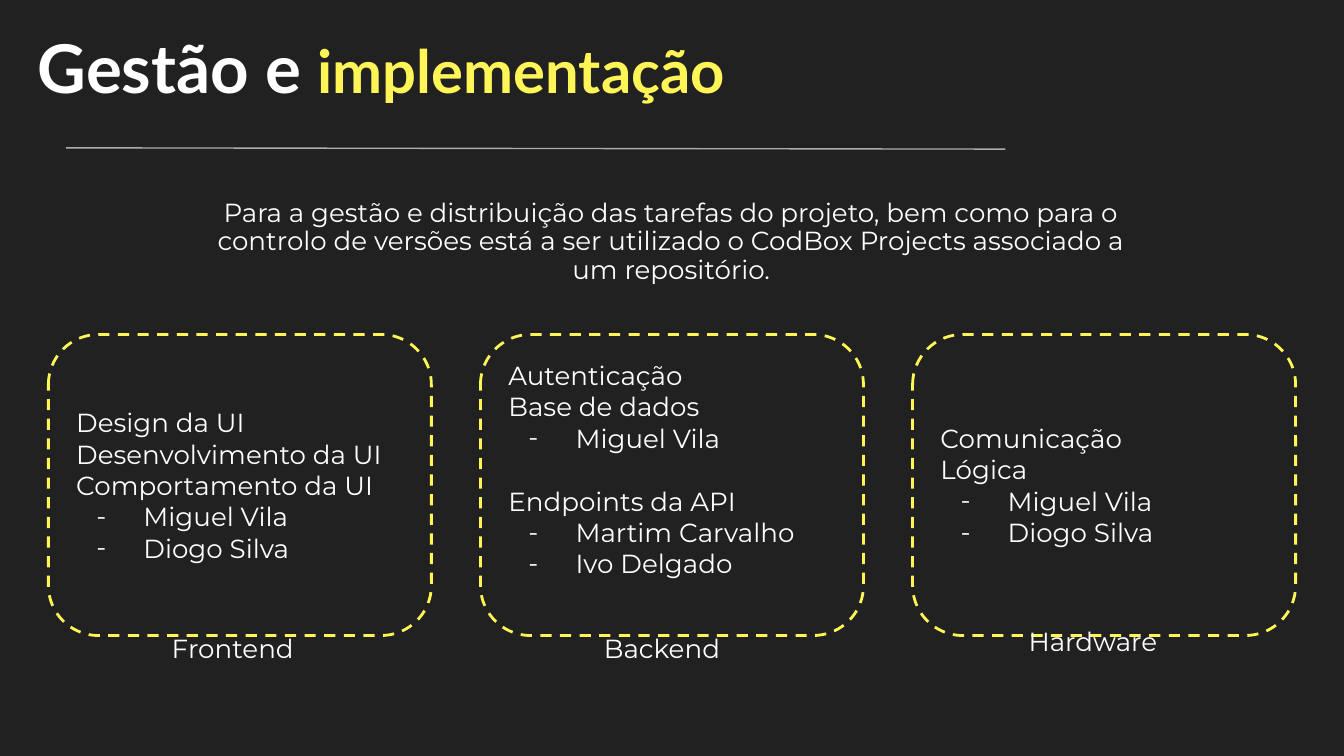
from lxml import etree
from pptx import Presentation
from pptx.dml.color import RGBColor
from pptx.enum import dml, shapes, text
from pptx.oxml import ns
from pptx.util import Pt

COLORS = {"background": "212121", "white": "FFFFFF", "yellow": "FFF557", "rule": "ADADAD"}
HEADING_FONT, BODY_FONT = "Lato", "Montserrat"
INSET = 7.2

# Each card: entries (kind, words), caption, caption offset (x, y), bottom inset
CARDS = [
    ([("task", "Design da UI"), ("task", "Desenvolvimento da UI"),
      ("task", "Comportamento da UI"), ("person", "Miguel Vila"),
      ("person", "Diogo Silva")], "Frontend", (59, 0), INSET),
    ([("task", "Autenticação"), ("task", "Base de dados"), ("person", "Miguel Vila"),
      ("new group", "Endpoints da API"), ("person", "Martim Carvalho"),
      ("person", "Ivo Delgado")], "Backend", (59, 0), 24.2),
    ([("task", "Comunicação"), ("task", "Lógica"), ("person", "Miguel Vila"),
      ("person", "Diogo Silva")], "Hardware", (55, -3.6), INSET),
]


def color(name):
    return RGBColor.from_string(COLORS[name])


def place(shape, box):
    shape.left, shape.top, shape.width, shape.height = (Pt(value) for value in box)


def set_frame(shape, anchor, top=INSET, bottom=INSET):
    frame = shape.text_frame
    frame.word_wrap = True
    frame.auto_size = text.MSO_AUTO_SIZE.NONE
    frame.vertical_anchor = anchor
    frame.margin_left = frame.margin_right = Pt(INSET)
    frame.margin_top, frame.margin_bottom = Pt(top), Pt(bottom)
    return frame


def add_run(paragraph, words, size=14, font=BODY_FONT, tint="white", bold=False):
    run = paragraph.add_run()
    run.text = words
    run.font.size, run.font.name, run.font.bold = Pt(size), font, bold
    run.font.color.rgb = color(tint)


def set_bullet(paragraph, character=None, margin=0, indent=0):
    properties = paragraph._p.get_or_add_pPr()
    properties.set("marL", str(Pt(margin)))
    properties.set("indent", str(Pt(indent)))
    if character is None:
        etree.SubElement(properties, ns.qn("a:buNone"))
        return
    bullet_color = etree.SubElement(properties, ns.qn("a:buClr"))
    etree.SubElement(bullet_color, ns.qn("a:srgbClr"), val=COLORS["white"])
    etree.SubElement(properties, ns.qn("a:buFont"), typeface=BODY_FONT)
    etree.SubElement(properties, ns.qn("a:buChar"), char=character)


def add_heading(slide, box):
    # Title in two colours
    title = slide.shapes.title
    place(title, box)
    paragraph = set_frame(title, text.MSO_ANCHOR.MIDDLE).paragraphs[0]
    paragraph.alignment = text.PP_ALIGN.LEFT
    paragraph.line_spacing = 0.9
    add_run(paragraph, "Gestão e ", 36, HEADING_FONT, bold=True)
    add_run(paragraph, "implementação", 32, HEADING_FONT, "yellow", True)

    # Rule under the title
    left, top = box[0] + 22.3, box[1] + 140.4
    rule = slide.shapes.add_connector(
        shapes.MSO_CONNECTOR.STRAIGHT, Pt(left + 503.3), Pt(top + 0.7), Pt(left), Pt(top))
    rule.line.color.rgb = color("rule")
    rule.line.width = Pt(0.75)
    etree.SubElement(rule._element.spPr, ns.qn("a:effectLst"))


def add_introduction(slide, box):
    body = slide.placeholders[1]
    place(body, box)
    paragraph = set_frame(body, text.MSO_ANCHOR.TOP).paragraphs[0]
    paragraph.alignment = text.PP_ALIGN.CENTER
    paragraph.line_spacing = 0.9
    paragraph.space_before = Pt(10)
    set_bullet(paragraph)
    add_run(paragraph, "Para a gestão e distribuição das tarefas do projeto, bem como para o "
                       "controlo de versões está a ser utilizado o CodBox Projects associado a "
                       "um repositório.")


def add_card(slide, box, entries, caption, caption_offset, bottom_inset):
    left, top, width, height = box

    # Dashed outline with tasks and people
    card = slide.shapes.add_shape(
        shapes.MSO_SHAPE.ROUNDED_RECTANGLE, *(Pt(value) for value in box))
    card.shadow.inherit = False
    card.fill.background()
    card.line.color.rgb = color("yellow")
    card.line.width = Pt(1.5)
    card.line.dash_style = dml.MSO_LINE.DASH
    frame = set_frame(card, text.MSO_ANCHOR.MIDDLE, bottom=bottom_inset)
    for index, (kind, words) in enumerate(entries):
        paragraph = frame.add_paragraph() if index else frame.paragraphs[0]
        paragraph.alignment = text.PP_ALIGN.LEFT
        if kind == "new group":
            paragraph.space_before = Pt(17)
        if kind == "person":
            set_bullet(paragraph, "-", 36, -25.2)
        add_run(paragraph, words)

    # Caption below the outline
    offset_x, offset_y = caption_offset
    label = slide.shapes.add_textbox(
        Pt(left + offset_x), Pt(top + height + offset_y), Pt(90), Pt(34))
    paragraph = set_frame(label, text.MSO_ANCHOR.TOP, top=0).paragraphs[0]
    paragraph.line_spacing = 0.9
    add_run(paragraph, caption)


def build_slide(presentation):
    slide = presentation.slides.add_slide(presentation.slide_layouts[1])
    slide.background.fill.solid()
    slide.background.fill.fore_color.rgb = color("background")
    add_heading(slide, (13, -61.2, 694, 199.4))
    add_introduction(slide, (101.5, 100, 516.2, 60.5))
    for column, card in enumerate(CARDS):
        add_card(slide, (25.9 + 231.5 * column, 179.2, 205.2, 161.3), *card)


presentation = Presentation()
presentation.slide_width, presentation.slide_height = Pt(720), Pt(405)
build_slide(presentation)
presentation.save("out.pptx")
